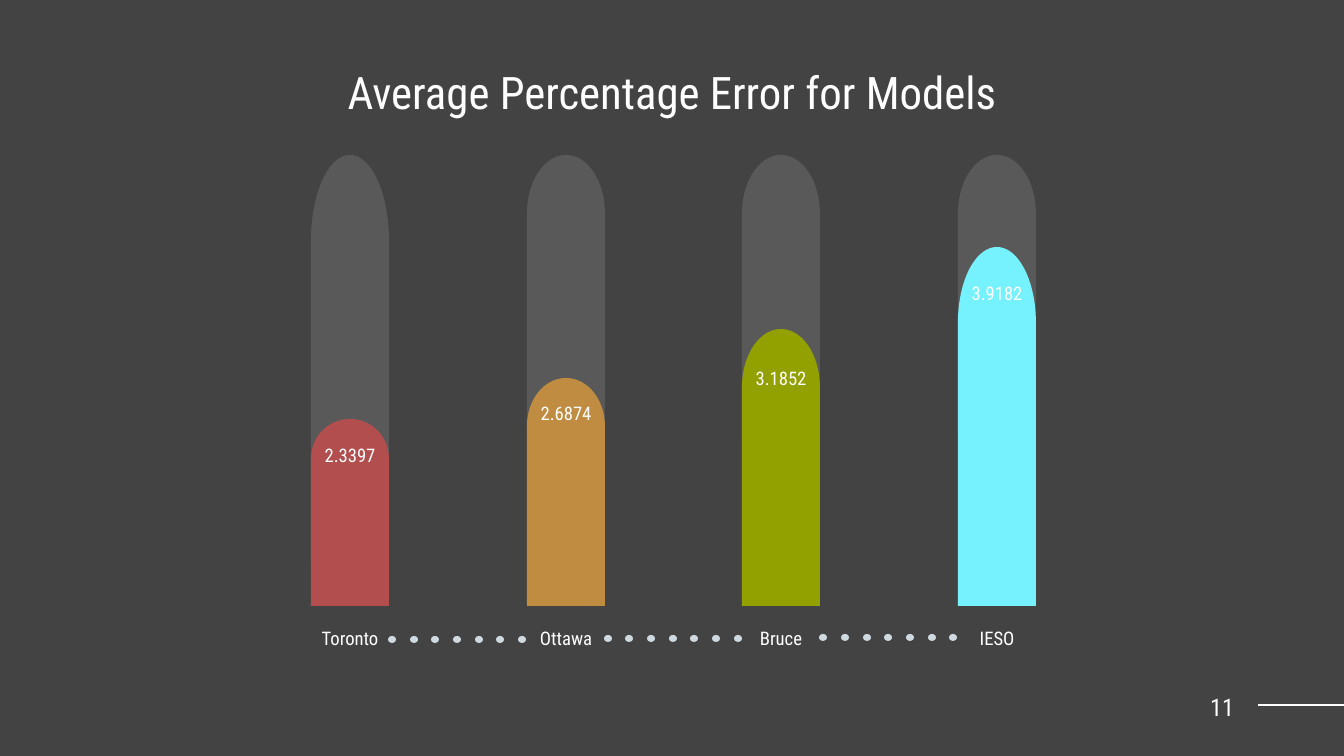
from math import cos, pi, sin

from lxml import etree
from pptx import Presentation
from pptx.dml.color import RGBColor
from pptx.enum.shapes import MSO_CONNECTOR, MSO_SHAPE
from pptx.enum.text import MSO_ANCHOR, MSO_AUTO_SIZE, PP_ALIGN
from pptx.oxml.ns import qn
from pptx.util import Pt

LINE = MSO_CONNECTOR.STRAIGHT
OVAL = MSO_SHAPE.OVAL
MIDDLE = MSO_ANCHOR.MIDDLE
NO_FIT = MSO_AUTO_SIZE.NONE
CENTER = PP_ALIGN.CENTER
RIGHT = PP_ALIGN.RIGHT

EMU_PER_PX = 914400 / 134.4
INSET = 13
FONT = "Roboto Condensed"
BACKGROUND = "434343"
WHITE = "FFFFFF"
TRACK = "595959"
DOT = "CFD9E0"

BAR_LEFT = 311
BAR_WIDTH = 78
BAR_BOTTOM = 606
BAR_PITCH = 215.6
TRACK_TOP = 155
CAP_RATIO = 0.21
CAP_STEPS = 48
LABEL_WIDTH = 146
LABEL_HEIGHT = 138
LABEL_MIDDLE = 638
DOT_LEFT = 388
DOT_TOP = 636
DOT_PITCH = 21.7
DOTS_PER_GAP = 7

MODELS = [
    ("Toronto", "2.3397", "B24E4E", 419, 455, 562),
    ("Ottawa", "2.6874", "BF8C41", 378, 413, 433),
    ("Bruce", "3.1852", "92A000", 329, 378, 433),
    ("IESO", "3.9182", "76F2FF", 247, 293, 433),
]


def px(n):
    return round(n * EMU_PER_PX)


def rgb(value):
    return RGBColor.from_string(value)


class SlideBuilder:
    def __init__(self, slide):
        self.slide = slide
        self.shapes = slide.shapes

    def background(self, color):
        fill = self.slide.background.fill
        fill.solid()
        fill.fore_color.rgb = rgb(color)

    def paint(self, sp, color):
        sp.fill.solid()
        sp.fill.fore_color.rgb = rgb(color)
        sp.line.fill.background()
        sp.shadow.inherit = False

    def set_text(self, sp, text, size, align):
        tf = sp.text_frame
        tf.text = text
        tf.word_wrap = True
        tf.auto_size = NO_FIT
        tf.vertical_anchor = MIDDLE
        tf.margin_left = tf.margin_right = px(INSET)
        tf.margin_top = tf.margin_bottom = px(INSET)
        p = tf.paragraphs[0]
        p.alignment = align
        font = p.runs[0].font
        font.name = FONT
        font.size = Pt(size)
        font.color.rgb = rgb(WHITE)

    def title(self, text, x, y, w, h, size):
        sp = self.shapes.title
        sp.left, sp.top, sp.width, sp.height = px(x), px(y), px(w), px(h)
        self.set_text(sp, text, size, CENTER)

    def text(self, text, x, y, w, h, size=10, align=CENTER):
        sp = self.shapes.add_textbox(px(x), px(y), px(w), px(h))
        self.set_text(sp, text, size, align)

    def label(self, text, center, middle):
        self.text(text, center - LABEL_WIDTH // 2, middle - LABEL_HEIGHT // 2,
                  LABEL_WIDTH, LABEL_HEIGHT)

    def bar(self, x, top, bottom, color):
        radius = BAR_WIDTH / 2
        cap = CAP_RATIO * (bottom - top)
        angles = [pi * step / CAP_STEPS for step in range(CAP_STEPS + 1)]
        points = [(px(x + radius - radius * cos(a)), px(top + cap - cap * sin(a)))
                  for a in angles]
        points.append((px(x + BAR_WIDTH), px(bottom)))
        builder = self.shapes.build_freeform(px(x), px(bottom))
        builder.add_line_segments(points, close=True)
        self.paint(builder.convert_to_shape(), color)

    def dot(self, x, y):
        sp = self.shapes.add_shape(OVAL, px(x), px(y), px(8), px(7))
        self.paint(sp, DOT)

    def line(self, x1, y1, x2, y2):
        sp = self.shapes.add_connector(LINE, px(x1), px(y1), px(x2), px(y2))
        sp.line.color.rgb = rgb(WHITE)
        sp.line.width = Pt(1.5)
        etree.SubElement(sp._element.spPr, qn("a:effectLst"))


def main():
    prs = Presentation()
    prs.slide_width, prs.slide_height = px(1344), px(756)
    slide = prs.slides.add_slide(prs.slide_layouts[0])
    subtitle = slide.placeholders[1]._element
    subtitle.getparent().remove(subtitle)

    s = SlideBuilder(slide)
    s.background(BACKGROUND)
    s.line(1258, 705, 1344, 705)
    s.title("Average Percentage Error for Models", 281, 23, 782, 138, 24)
    s.text("11", 1166, 687, 81, 40, 13, RIGHT)

    for i, (city, value, color, top, value_middle, track_bottom) in enumerate(MODELS):
        x = BAR_LEFT + round(BAR_PITCH * i)
        center = x + BAR_WIDTH // 2
        s.bar(x, TRACK_TOP, track_bottom, TRACK)
        s.bar(x, top, BAR_BOTTOM, color)
        s.label(city, center, LABEL_MIDDLE)
        s.label(value, center, value_middle)

    for gap in range(len(MODELS) - 1):
        for n in range(DOTS_PER_GAP):
            s.dot(DOT_LEFT + round(BAR_PITCH * gap + DOT_PITCH * n), DOT_TOP - gap)

    prs.save("out.pptx")


if __name__ == "__main__":
    main()
